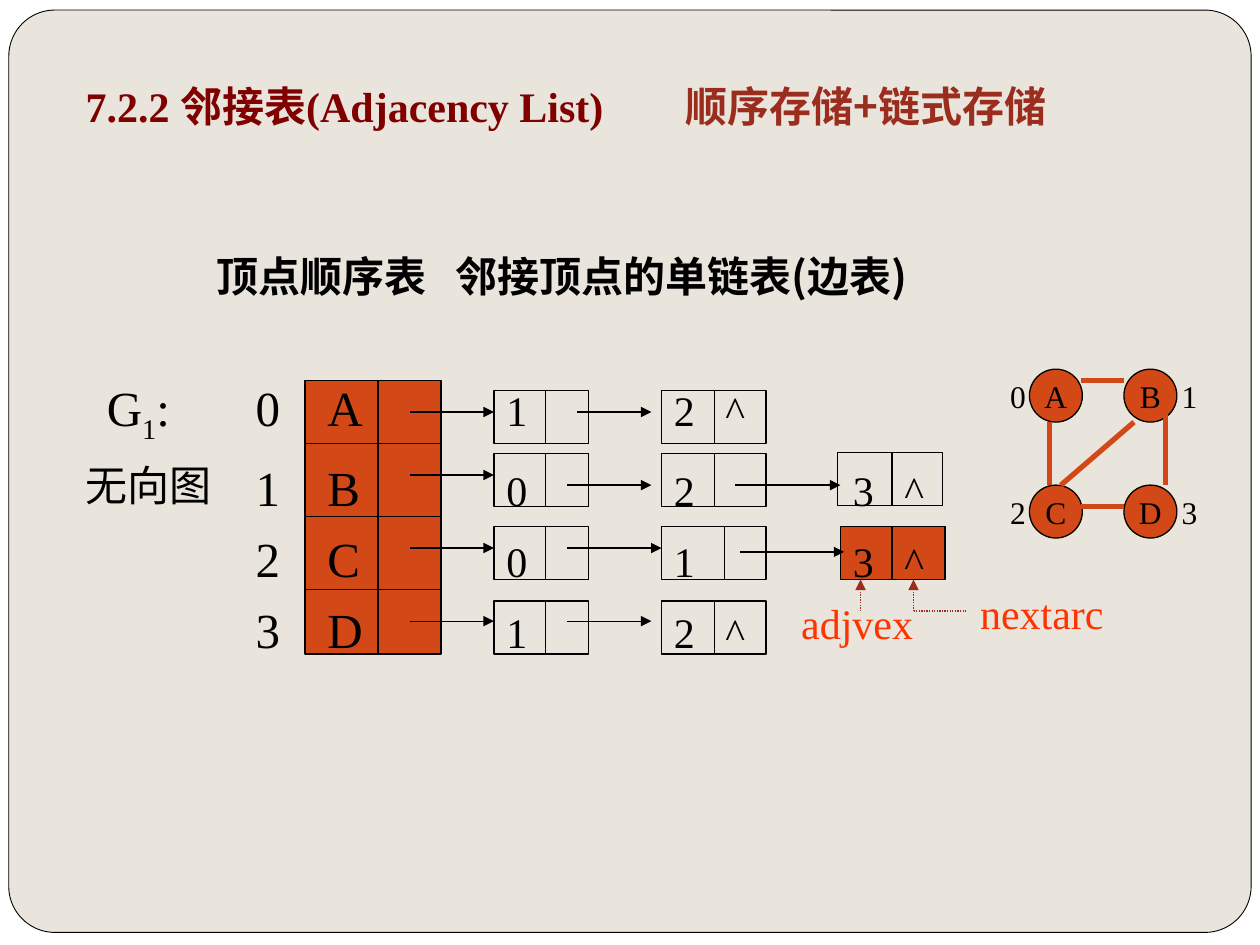
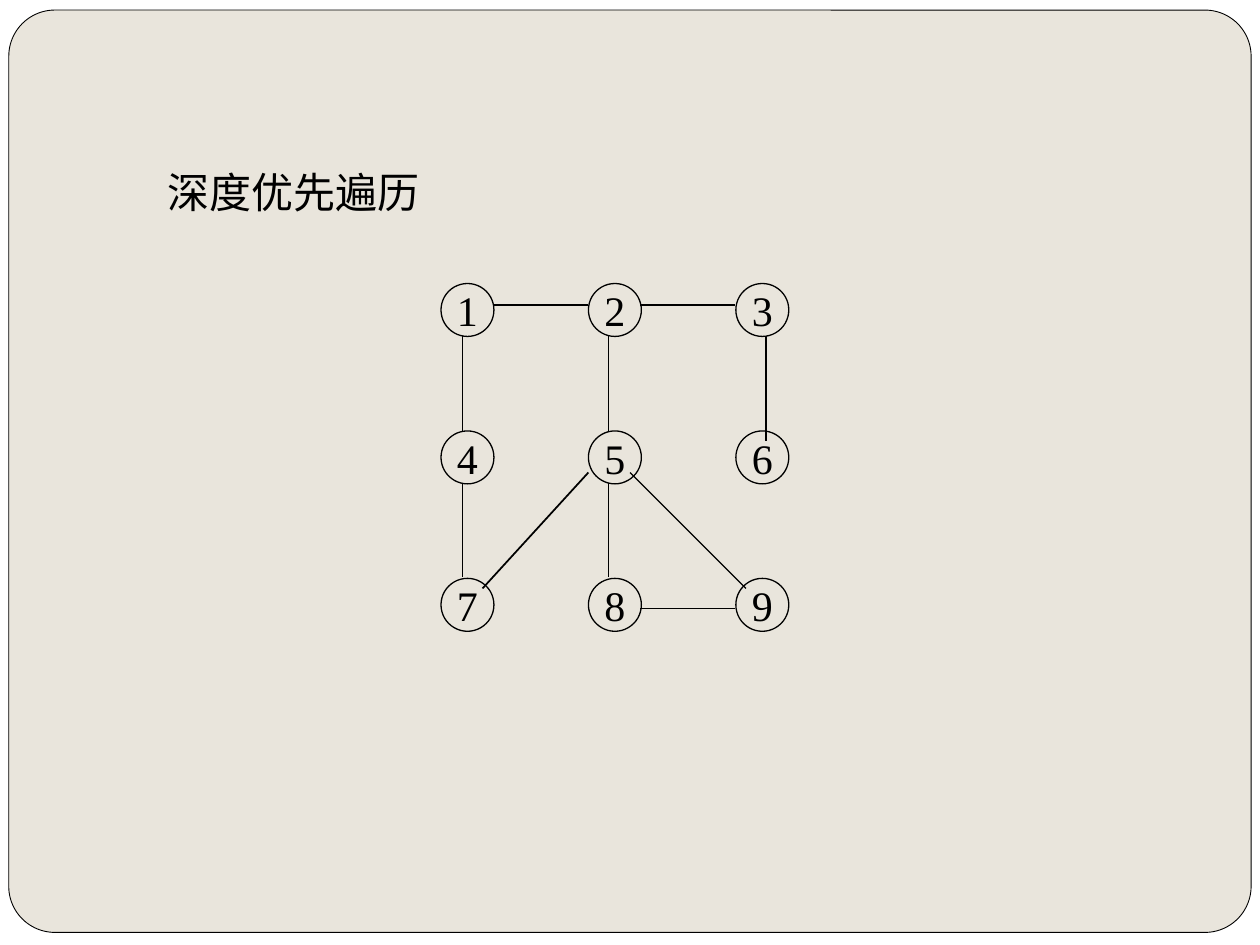
from lxml import etree
from pptx import Presentation
from pptx.dml.color import RGBColor
from pptx.enum import dml, shapes, text
from pptx.oxml import ns
from pptx.util import Inches, Pt

BLACK = RGBColor(0x00, 0x00, 0x00)
WHITE = RGBColor(0xFF, 0xFF, 0xFF)
SAND = RGBColor(0xE9, 0xE5, 0xDC)
ORANGE = RGBColor(0xD3, 0x48, 0x17)
MAROON = RGBColor(0x80, 0x00, 0x00)
BRICK = RGBColor(0x9B, 0x2D, 0x1F)
RED = RGBColor(0xFF, 0x33, 0x00)
SERIF = "Times New Roman"
CJK = "Noto Sans CJK SC"
RECTANGLE = shapes.MSO_SHAPE.RECTANGLE
OVAL = shapes.MSO_SHAPE.OVAL
LEFT, CENTER = text.PP_ALIGN.LEFT, text.PP_ALIGN.CENTER

VERTEX_SIZE = 0.42
CELL_HEIGHT = 0.42


def sub_element(parent, tag, **attributes):
    return etree.SubElement(parent, ns.qn(tag), attributes)


class Sketch:
    """Holds the deck, its style and the page being drawn."""

    def __init__(self):
        self.deck = Presentation()
        self.deck.slide_width, self.deck.slide_height = Inches(10), Inches(7.5)
        self.layout = self.deck.slide_layouts[5]
        background = self.deck.slide_master.background.fill
        background.solid()
        background.fore_color.rgb = WHITE
        self.page = None

    def new_page(self):
        self.page = self.deck.slides.add_slide(self.layout)

    def add_panel(self):
        """Move a rounded panel behind everything on the shared layout."""
        panel = self.shape(shapes.MSO_SHAPE.ROUNDED_RECTANGLE,
                           0.07, 0.08, 9.86, 7.32, SAND, weight=0.5)
        panel.adjustments[0] = 0.05
        panel.element.nvSpPr.cNvPr.id = 20
        self.layout.shapes.element.insert(2, panel.element)

    def shape(self, kind, left, top, width, height, fill=None, weight=0.75):
        shape = self.page.shapes.add_shape(
            kind, Inches(left), Inches(top), Inches(width), Inches(height))
        shape.shadow.inherit = False
        if fill is None:
            shape.fill.background()
        else:
            shape.fill.solid()
            shape.fill.fore_color.rgb = fill
        shape.line.color.rgb = BLACK
        shape.line.width = Pt(weight)
        return shape

    def line(self, x1, y1, x2, y2, color=BLACK, weight=0.75,
             arrow=False, dotted=False):
        line = self.page.shapes.add_connector(
            shapes.MSO_CONNECTOR.STRAIGHT,
            Inches(x1), Inches(y1), Inches(x2), Inches(y2))
        line.line.color.rgb = color
        line.line.width = Pt(weight)
        if dotted:
            line.line.dash_style = dml.MSO_LINE.ROUND_DOT
        if arrow:
            sub_element(line.line._get_or_add_ln(), "a:tailEnd", type="triangle")
        sub_element(line.element.spPr, "a:effectLst")

    def span(self, para, words, size=24, color=BLACK, font=SERIF, bold=False):
        span = para.add_run()
        span.text = words
        span.font.size = Pt(size)
        span.font.bold = bold
        span.font.color.rgb = color
        span.font.name = font
        sub_element(span.font._element, "a:ea", typeface=CJK)
        return span

    def tab_stops(self, para, *stops):
        tabs = sub_element(para._p.get_or_add_pPr(), "a:tabLst")
        for stop in stops:
            sub_element(tabs, "a:tab", pos=str(Inches(stop)), algn="l")

    def frame(self, box, align=LEFT, wrap=True):
        """Prepare a box's text and return its first paragraph."""
        frame = box.text_frame
        frame.auto_size = text.MSO_AUTO_SIZE.NONE
        frame.word_wrap = wrap
        frame.vertical_anchor = text.MSO_ANCHOR.MIDDLE
        para = frame.paragraphs[0]
        para.alignment = align
        return para

    def title(self, left, top, width, height):
        box = self.page.shapes.title
        box.left, box.top = Inches(left), Inches(top)
        box.width, box.height = Inches(width), Inches(height)
        return self.frame(box)

    def text_box(self, left, top, width, height):
        return self.page.shapes.add_textbox(
            Inches(left), Inches(top), Inches(width), Inches(height))

    def label(self, words, left, top, width, height=0.5, align=LEFT, **style):
        para = self.frame(self.text_box(left, top, width, height), align, False)
        self.span(para, words, **style)
        return para

    def vertex(self, name, left, top, fill=None, size=24):
        oval = self.shape(OVAL, left, top, VERTEX_SIZE, VERTEX_SIZE, fill)
        self.span(self.frame(oval, CENTER, False), name, size)

    def list_node(self, left, top, width, divider, fill=None):
        self.shape(RECTANGLE, left, top, width, CELL_HEIGHT, fill)
        self.line(divider, top, divider, top + CELL_HEIGHT)


def draw_vertex_table(sketch):
    sketch.shape(RECTANGLE, 2.42, 3.02, 1.08, 2.17, ORANGE)
    for y in (3.52, 4.1, 4.68):
        sketch.line(2.42, y, 3.5, y)
    sketch.line(3, 3.02, 3, 5.18)


def draw_edge_lists(sketch):
    for top, second_divider in ((3.1, 5.67), (3.6, 5.67), (4.18, 5.75), (4.77, 5.67)):
        sketch.list_node(3.92, top, 0.75, 4.33)
        sketch.list_node(5.25, top, 0.83, second_divider)
    sketch.list_node(6.65, 3.59, 0.83, 7.08)
    sketch.list_node(6.67, 4.18, 0.83, 7.08, ORANGE)

    arrows = {3.27: [(3.25, 3.92), (4.58, 5.17)],
              3.77: [(3.25, 3.92)],
              3.85: [(4.5, 5.17), (5.83, 6.67)],
              4.35: [(3.25, 3.92), (4.5, 5.25)],
              4.38: [(5.87, 6.7)],
              4.93: [(3.25, 3.92), (4.5, 5.17)]}
    for y, reaches in arrows.items():
        for start, end in reaches:
            sketch.line(start, y, end, y, arrow=True)


def write_list_rows(sketch):
    rows = (("0\tA\t", "1\t2\t^"), ("\t1\tB\t", "0\t2\t\t3\t^"),
            ("\t2\tC\t", "0\t1\t\t3\t^"), ("\t3\tD\t", "1\t2\t^"))
    box = sketch.text_box(0.75, 2.95, 7.2, 2.3)
    para = sketch.frame(box)
    box.text_frame.vertical_anchor = text.MSO_ANCHOR.TOP
    for index, (vertex, neighbours) in enumerate(rows):
        if index:
            para = box.text_frame.add_paragraph()
            para.space_before = Pt(7)
        sketch.tab_stops(para, 1.18, 1.75, 3.17, 4.5, 4.91, 5.92, 6.33)
        if not index:
            sketch.span(para, "G", 28)
            subscript = sketch.span(para, "1", 28)
            subscript.font._element.set("baseline", "-25000")
            vertex = ":\t" + vertex
        sketch.span(para, vertex, 28)
        sketch.span(para, neighbours)


def draw_field_names(sketch):
    for x in (6.83, 7.25):
        sketch.line(x, 4.85, x, 4.6, BRICK, arrow=True, dotted=True)
    sketch.line(7.25, 4.85, 7.67, 4.85, BRICK, dotted=True)
    sketch.label("nextarc", 7.68, 4.61, 1.67, color=RED)
    sketch.label("adjvex", 6.26, 4.69, 1.25, color=RED)


def draw_small_graph(sketch):
    for index, name in enumerate("ABCD"):
        row, column = divmod(index, 2)
        top = 2.93 + 0.92 * row
        sketch.vertex(name, 8.17 + 0.75 * column, top, ORANGE, 18)
        sketch.label(str(index), 7.93 + 1.36 * column, top, 0.3, VERTEX_SIZE,
                     CENTER, size=18)
    for edge in ((8.58, 3.02, 8.92, 3.02), (8.58, 4.02, 8.92, 4.02),
                 (8.33, 3.35, 8.33, 3.85), (9.25, 3.27, 9.25, 3.85),
                 (8.42, 3.85, 9, 3.35)):
        sketch.line(*edge, ORANGE, 3)


def adjacency_list_page(sketch):
    sketch.new_page()
    sketch.add_panel()
    title = sketch.title(0.58, 0.5, 8.5, 0.67)
    sketch.tab_stops(title, 4.76)
    sketch.span(title, "7.2.2 邻接表(Adjacency List)\t", color=MAROON, bold=True)
    sketch.span(title, "顺序存储+链式存储", color=BRICK, font=CJK, bold=True)

    heading = sketch.frame(sketch.text_box(1.62, 1.94, 6.5, 0.5))
    sketch.tab_stops(heading, 1.9)
    sketch.span(heading, "顶点顺序表\t邻接顶点的单链表(边表)", font=CJK, bold=True)

    draw_vertex_table(sketch)
    draw_edge_lists(sketch)
    write_list_rows(sketch)
    draw_field_names(sketch)
    sketch.label("无向图", 0.58, 3.6, 1.42)
    draw_small_graph(sketch)


def depth_first_page(sketch):
    sketch.new_page()
    sketch.span(sketch.title(1.23, 1.27, 2.4, 0.5), "深度优先遍历")
    for index in range(9):
        row, column = divmod(index, 3)
        sketch.vertex(str(index + 1), 3.5 + 1.17 * column, 2.25 + 1.17 * row)

    for x in (3.67, 4.83):
        for top in (2.67, 3.83):
            sketch.line(x, top, x, top + 0.75)
    for left, y in ((3.92, 2.42), (5.08, 2.42), (5.08, 4.83)):
        sketch.line(left, y, left + 0.75, y)
    sketch.line(6.08, 2.67, 6.08, 3.5)
    sketch.line(5, 3.75, 5.92, 4.67)
    sketch.line(4.67, 3.75, 3.83, 4.67, weight=1)


def main():
    sketch = Sketch()
    adjacency_list_page(sketch)
    depth_first_page(sketch)
    sketch.deck.save("out.pptx")


if __name__ == "__main__":
    main()
